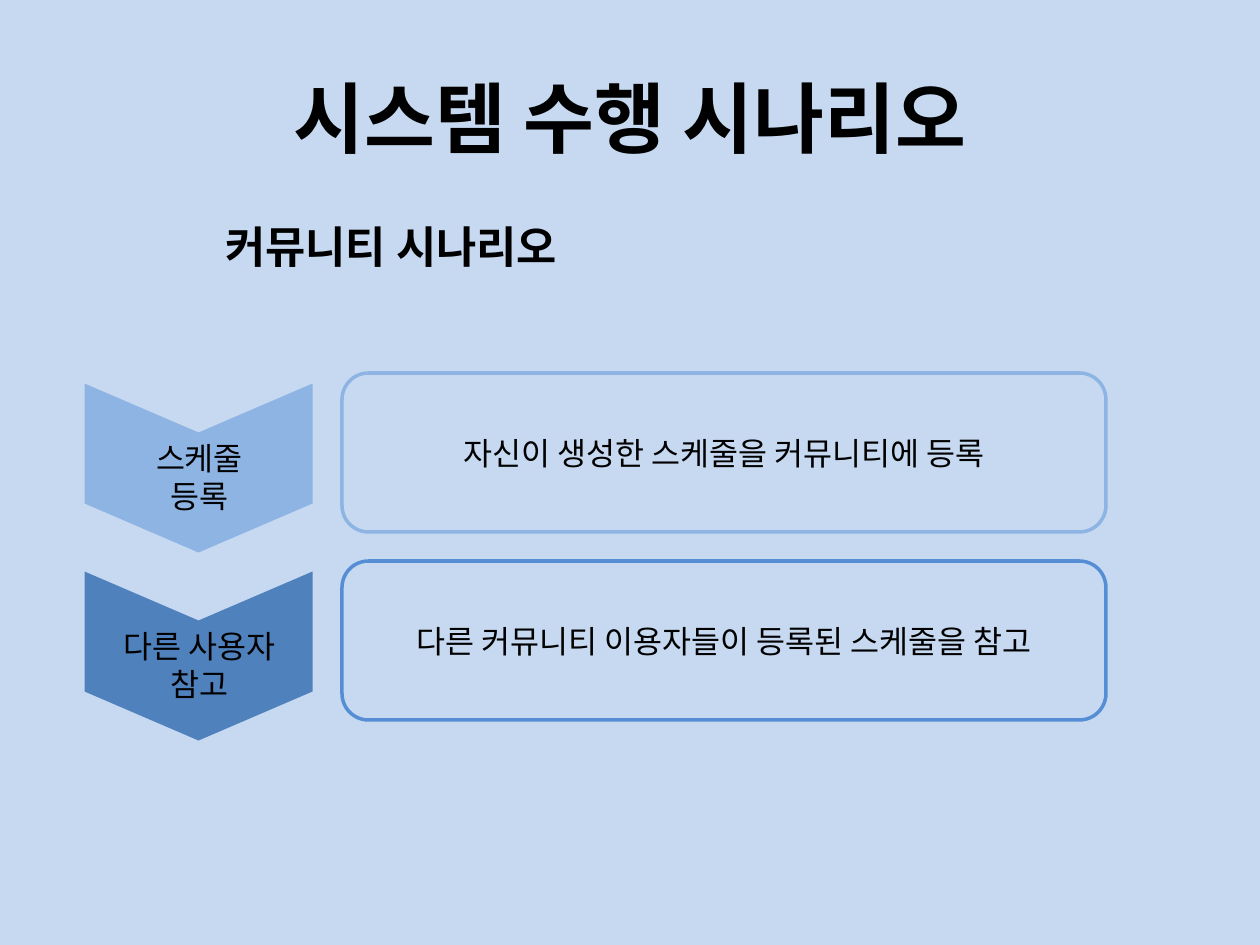
from lxml import etree
from pptx import Presentation
from pptx.dml.color import RGBColor
from pptx.enum.shapes import MSO_SHAPE
from pptx.enum.text import MSO_ANCHOR, MSO_AUTO_SIZE, PP_ALIGN
from pptx.oxml.ns import qn
from pptx.util import Emu, Pt

CHEVRON, ROUND = MSO_SHAPE.CHEVRON, MSO_SHAPE.ROUNDED_RECTANGLE
LEFT, CENTER = PP_ALIGN.LEFT, PP_ALIGN.CENTER
TOP, MIDDLE = MSO_ANCHOR.TOP, MSO_ANCHOR.MIDDLE
GROW = MSO_AUTO_SIZE.SHAPE_TO_FIT_TEXT

FACE = "Noto Sans CJK KR"
COLORS = {"back": "C6D9F1", "ink": "000000", "light": "8EB4E3",
          "deep": "4F81BD", "edge": "558ED5"}
STEPS = [
    (["스케줄", "등록"], "자신이 생성한 스케줄을 커뮤니티에 등록", "light", "light"),
    (["다른 사용자", "참고"], "다른 커뮤니티 이용자들이 등록된 스케줄을 참고", "deep", "edge"),
]
PITCH = 188


def px(n):
    return Emu(round(n * 914400 / 126))


def rgb(name):
    return RGBColor.from_string(COLORS[name])


def write(frame, lines, size, bold=False, align=CENTER, **look):
    """Fill a text frame; look holds further text frame settings."""
    for key, value in look.items():
        setattr(frame, key, value)
    for i, line in enumerate(lines):
        para = frame.paragraphs[0] if i == 0 else frame.add_paragraph()
        para.alignment = align
        run = para.add_run()
        run.text = line
        for key, value in {"name": FACE, "size": Pt(size), "bold": bold}.items():
            setattr(run.font, key, value)
        run.font.color.rgb = rgb("ink")
        # Hangul takes its font from the East Asian slot
        etree.SubElement(run._r.get_or_add_rPr(), qn("a:ea"), typeface=FACE)


def add_title(slide, text):
    title = slide.shapes.title
    place = {"left": 63, "top": 38, "width": 1134, "height": 157}
    for key, value in place.items():
        setattr(title, key, px(value))
    write(title.text_frame, [text], 44, True, vertical_anchor=MIDDLE)


def add_text(slide, box, lines, size, **look):
    shape = slide.shapes.add_textbox(*map(px, box))
    write(shape.text_frame, lines, size, vertical_anchor=TOP,
          auto_size=GROW, **look)


def add_arrow(slide, top, color):
    """Add a chevron turned to point down."""
    shape = slide.shapes.add_shape(CHEVRON, *map(px, (114, top, 169, 228)))
    shape.rotation = 90
    shape.adjustments[0] = 0.29
    shape.shadow.inherit = False
    shape.fill.solid()
    shape.fill.fore_color.rgb = rgb(color)
    shape.line.fill.background()


def add_card(slide, top, text, color):
    shape = slide.shapes.add_shape(ROUND, *map(px, (342, top, 764, 159)))
    shape.shadow.inherit = False
    shape.fill.background()
    shape.line.color.rgb = rgb(color)
    shape.line.width = Pt(2)
    write(shape.text_frame, [text], 18, vertical_anchor=MIDDLE, word_wrap=True)


def main():
    deck = Presentation()
    deck.slide_width, deck.slide_height = px(1260), px(945)
    slide = deck.slides.add_slide(deck.slide_layouts[5])
    slide.background.fill.solid()
    slide.background.fill.fore_color.rgb = rgb("back")

    add_title(slide, "시스템 수행 시나리오")
    add_text(slide, (213, 214, 407, 66), ["커뮤니티 시나리오"], 25,
             bold=True, align=LEFT, word_wrap=True)
    for i, (label, detail, fill, edge) in enumerate(STEPS):
        shift = i * PITCH
        add_arrow(slide, 354 + shift, fill)
        add_text(slide, (102, 433 + shift, 195, 89), label, 18, word_wrap=False)
        add_card(slide, 373 + shift, detail, edge)
    deck.save("out.pptx")


if __name__ == "__main__":
    main()
